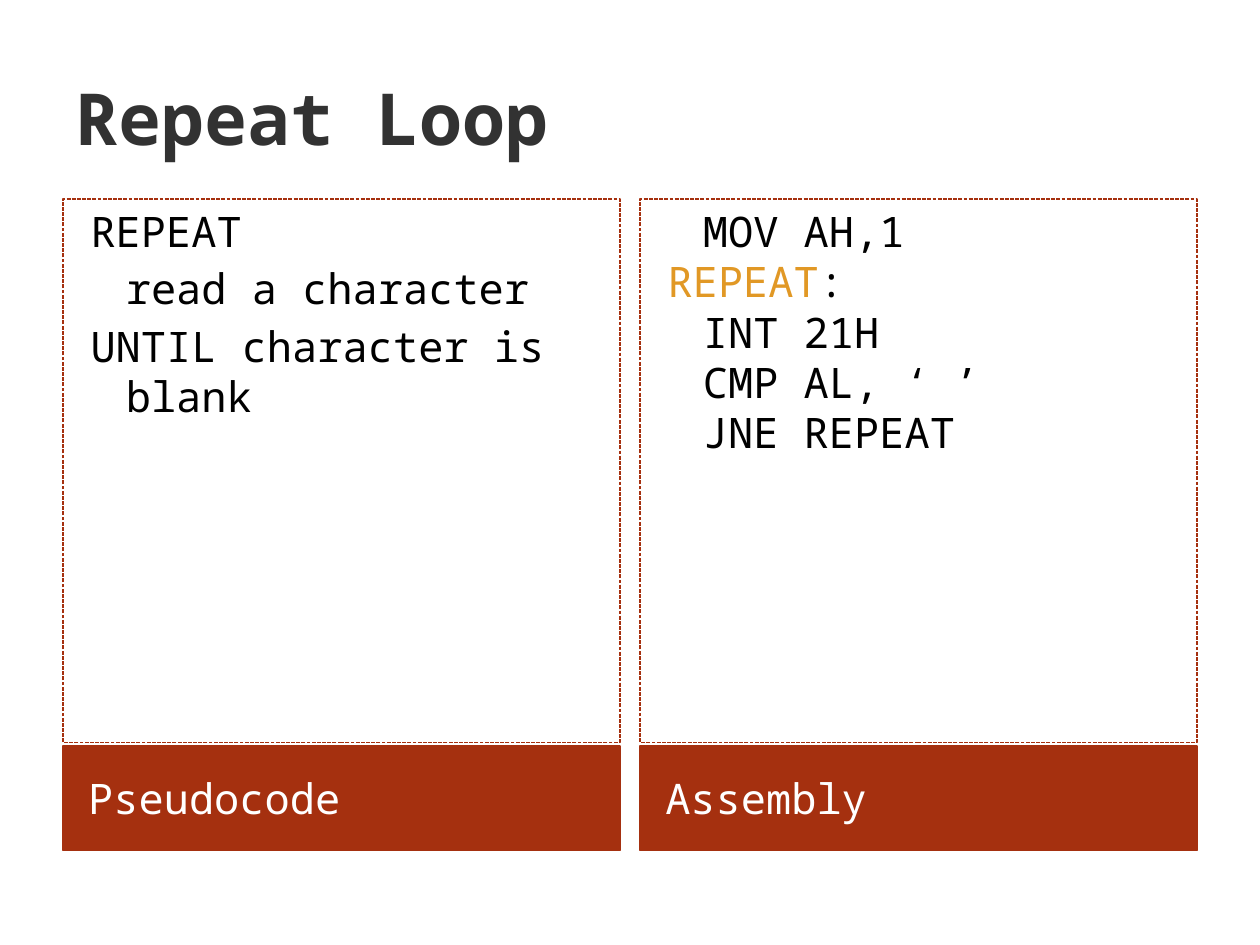
from dataclasses import dataclass

from pptx import Presentation
from pptx.dml.color import RGBColor
from pptx.enum.dml import MSO_LINE
from pptx.enum.shapes import MSO_SHAPE
from pptx.enum.text import MSO_ANCHOR, PP_ALIGN
from pptx.util import Pt


@dataclass(frozen=True)
class Theme:
    """Colours, font and type sizes of the slide."""
    font: str = "Noto Sans Mono"
    title: str = "323232"
    text: str = "000000"
    light: str = "FFFFFF"
    accent: str = "A5300F"
    label: str = "E19825"
    title_size: float = 41
    body_size: float = 24


def add_text(p, text, *, font, size, color, bold=False):
    """Add a formatted run to a paragraph."""
    r = p.add_run()
    r.text = text
    r.font.name = font
    r.font.size = Pt(size)
    r.font.bold = bold
    r.font.color.rgb = RGBColor.from_string(color)


class Deck:
    """Hold the theme and the current slide."""

    def __init__(self, prs, theme):
        """Start a title-only slide."""
        self.theme = theme
        self.s = prs.slides.add_slide(prs.slide_layouts[5])

    def title(self, text, left, top, width, height):
        """Place and format the title."""
        t, sp = self.theme, self.s.shapes.title
        sp.left, sp.top, sp.width, sp.height = map(Pt, (left, top, width, height))
        tf = sp.text_frame
        tf.word_wrap = True
        tf.vertical_anchor = MSO_ANCHOR.MIDDLE
        p = tf.paragraphs[0]
        p.alignment = PP_ALIGN.LEFT
        add_text(p, text, font=t.font, size=t.title_size, color=t.title, bold=True)

    def box(self, left, top, width, height, anchor):
        """Add an outlined rectangle without fill."""
        sp = self.s.shapes.add_shape(
            MSO_SHAPE.RECTANGLE, *map(Pt, (left, top, width, height)))
        sp.shadow.inherit = False
        sp.fill.background()
        sp.line.color.rgb = RGBColor.from_string(self.theme.accent)
        sp.line.width = Pt(0.75)
        sp.text_frame.word_wrap = True
        sp.text_frame.vertical_anchor = anchor
        return sp

    def caption(self, text, left, top, width, height):
        """Add a filled caption bar."""
        t = self.theme
        sp = self.box(left, top, width, height, MSO_ANCHOR.MIDDLE)
        sp.fill.solid()
        sp.fill.fore_color.rgb = RGBColor.from_string(t.accent)
        tf = sp.text_frame
        tf.margin_left = Pt(14.4)
        p = tf.paragraphs[0]
        p.alignment = PP_ALIGN.LEFT
        add_text(p, text, font=t.font, size=t.body_size, color=t.light)

    def code(self, lines, left, top, width, height, gap=0):
        """Add a dashed panel of code lines given as (indented, runs)."""
        t = self.theme
        sp = self.box(left, top, width, height, MSO_ANCHOR.TOP)
        sp.line.dash_style = MSO_LINE.SQUARE_DOT
        tf = sp.text_frame
        for i, (indented, runs) in enumerate(lines):
            p = tf.add_paragraph() if i else tf.paragraphs[0]
            p.alignment = PP_ALIGN.LEFT
            p.space_before = Pt(gap)
            pPr = p._p.get_or_add_pPr()
            pPr.set("marL", str(Pt(28.8)))
            pPr.set("indent", str(Pt(0 if indented else -20.16)))
            for text, color in runs:
                add_text(p, text, font=t.font, size=t.body_size, color=color)


def main():
    """Build the slide."""
    prs = Presentation()
    prs.slide_width, prs.slide_height = Pt(720), Pt(540)
    t = Theme()
    deck = Deck(prs, t)
    deck.title("Repeat Loop", 36, 21.6, 648, 90)

    pseudocode = [
        (False, [("REPEAT", t.text)]),
        (True, [("read a character", t.text)]),
        (False, [("UNTIL character is blank", t.text)]),
    ]
    assembly = [
        (True, [("MOV AH,1", t.text)]),
        (False, [("REPEAT", t.label), (":", t.text)]),
        (True, [("INT 21H", t.text)]),
        (True, [("CMP AL, ‘ ’", t.text)]),
        (True, [("JNE REPEAT", t.text)]),
    ]
    margin, width, gutter = 36, 318.25, 11.5
    columns = [("Pseudocode", pseudocode, 4), ("Assembly", assembly, 0)]
    for i, (name, lines, gap) in enumerate(columns):
        left = margin + i * (width + gutter)
        deck.caption(name, left, 426.25, width, 59.75)
        deck.code(lines, left, 113.75, width, 310.5, gap)

    prs.save("out.pptx")


if __name__ == "__main__":
    main()
